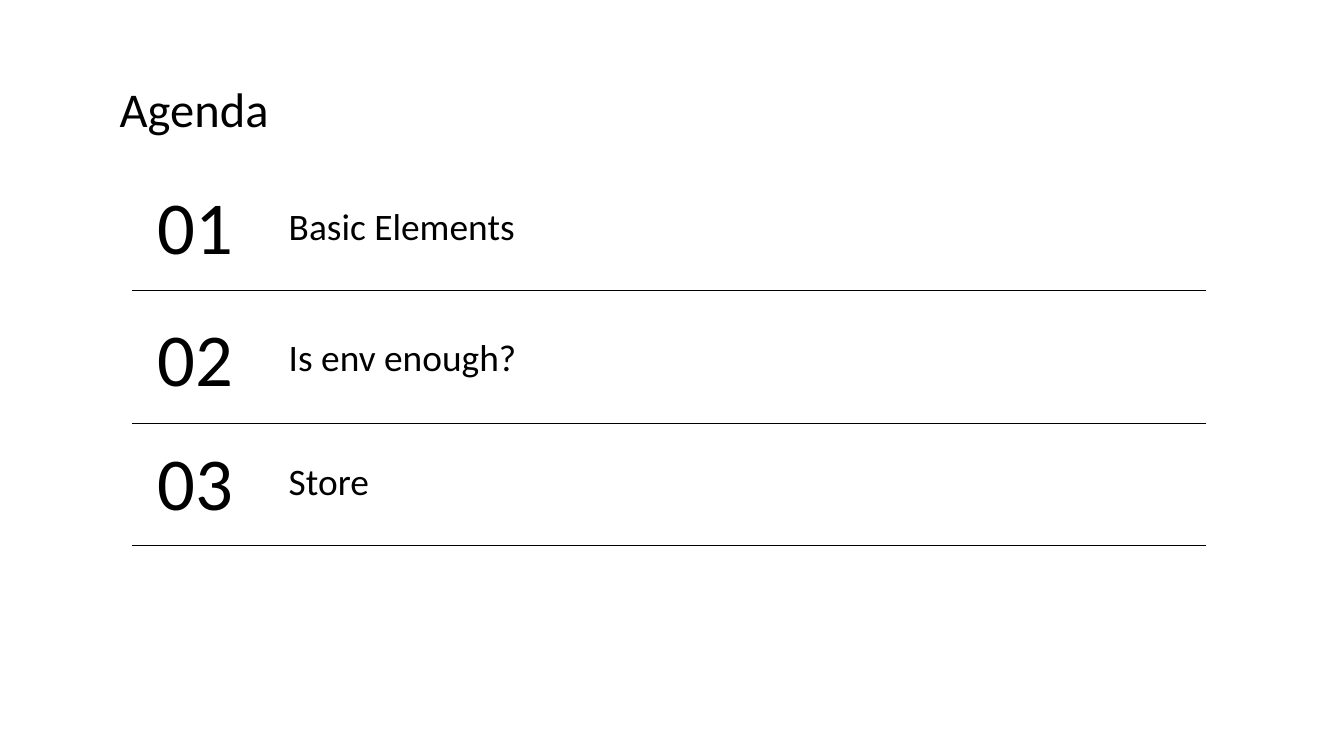
from dataclasses import dataclass

import pptx
import pptx.dml.color
import pptx.enum.shapes
import pptx.enum.text
import pptx.oxml.ns
import pptx.util
from lxml import etree

TITLE = "Agenda"
# Topic, top of its row and height of the rule below it, in inches
TOPICS = [
    ("Basic Elements", 1.26, 2.16),
    ("Is env enough?", 2.24, 3.15),
    ("Store", 3.16, 4.06),
]

ANCHOR = pptx.enum.text.MSO_ANCHOR
ALIGN = pptx.enum.text.PP_ALIGN
inches = pptx.util.Inches


@dataclass(frozen=True)
class Theme:
    font: str = "Calibri"
    ink: str = "000000"
    paper: str = "FFFFFF"
    title_size: int = 26
    number_size: int = 40
    topic_size: int = 20
    rule_width: float = 0.75


THEME = Theme()
SLIDE_WIDTH = 10
SLIDE_HEIGHT = SLIDE_WIDTH * 9 / 16
TITLE_AREA = (0.79, 0.49, 8.43, 0.63)
NUMBER_LEFT, NUMBER_WIDTH, NUMBER_HEIGHT = 1.03, 0.85, 0.83
TOPIC_LEFT, TOPIC_WIDTH, TOPIC_HEIGHT = 2.05, 6.01, 0.43
RULE_LEFT, RULE_RIGHT = 0.98, 8.97
PADDING = 0.1


def color(value):
    return pptx.dml.color.RGBColor.from_string(value)


def write(box, text, size, align=ALIGN.LEFT, anchor=ANCHOR.MIDDLE):
    frame = box.text_frame
    frame.word_wrap = True
    frame.auto_size = pptx.enum.text.MSO_AUTO_SIZE.NONE
    frame.vertical_anchor = anchor
    frame.margin_left = frame.margin_right = inches(PADDING)
    frame.margin_top = frame.margin_bottom = inches(PADDING)
    para = frame.paragraphs[0]
    para.alignment = align
    span = para.add_run()
    span.text = text
    span.font.name = THEME.font
    span.font.size = pptx.util.Pt(size)
    span.font.color.rgb = color(THEME.ink)


def add_text(slide, area, *args):
    write(slide.shapes.add_textbox(*map(inches, area)), *args)


def add_rule(slide, height):
    rule = slide.shapes.add_connector(
        pptx.enum.shapes.MSO_CONNECTOR.STRAIGHT,
        *map(inches, (RULE_LEFT, height, RULE_RIGHT, height)))
    rule.line.color.rgb = color(THEME.ink)
    rule.line.width = pptx.util.Pt(THEME.rule_width)
    etree.SubElement(rule._element.spPr, pptx.oxml.ns.qn("a:effectLst"))


def add_row(slide, number, topic, top, rule_height):
    add_text(slide, (NUMBER_LEFT, top, NUMBER_WIDTH, NUMBER_HEIGHT),
             f"{number:02}", THEME.number_size, ALIGN.CENTER)
    topic_top = top + (NUMBER_HEIGHT - TOPIC_HEIGHT) / 2
    add_text(slide, (TOPIC_LEFT, topic_top, TOPIC_WIDTH, TOPIC_HEIGHT),
             topic, THEME.topic_size)
    add_rule(slide, rule_height)


def main():
    deck = pptx.Presentation()
    deck.slide_width, deck.slide_height = inches(SLIDE_WIDTH), inches(SLIDE_HEIGHT)
    slide = deck.slides.add_slide(deck.slide_layouts.get_by_name("Title Only"))
    slide.background.fill.solid()
    slide.background.fill.fore_color.rgb = color(THEME.paper)

    title = slide.shapes.title
    title.left, title.top, title.width, title.height = map(inches, TITLE_AREA)
    write(title, TITLE, THEME.title_size, ALIGN.LEFT, ANCHOR.TOP)

    for number, (topic, top, rule_height) in enumerate(TOPICS, start=1):
        add_row(slide, number, topic, top, rule_height)
    deck.save("out.pptx")


if __name__ == "__main__":
    main()
